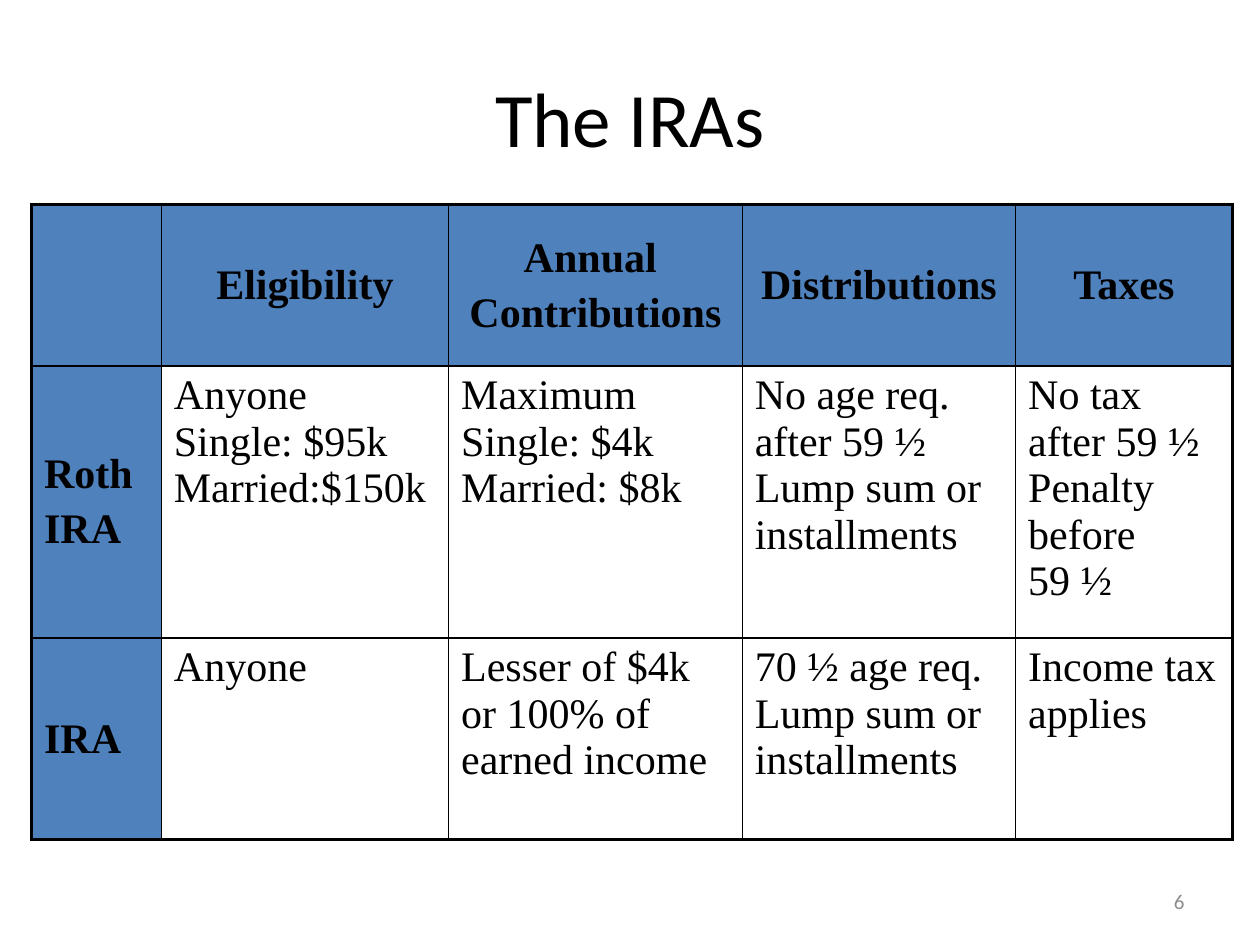
"""Build the slide that compares a Roth IRA with a traditional IRA."""
from dataclasses import dataclass

from lxml import etree
from pptx import Presentation
from pptx.dml.color import RGBColor
from pptx.enum import text
from pptx.oxml.ns import qn
from pptx.util import Pt


@dataclass(frozen=True)
class Theme:
    ink: str = "000000"
    header: str = "4F81BD"
    muted: str = "8C8C8C"
    title_font: str = "Calibri"
    table_font: str = "Times New Roman"
    title_size: float = 44
    table_size: float = 24
    number_size: float = 12
    outer_line: float = 2.25
    inner_line: float = 1


theme = Theme()


def add_text(p, content, font, size, color, bold=False):
    for i, line in enumerate(content.split("\n")):
        if i:
            p.add_line_break()
        r = p.add_run()
        r.text = line
        r.font.name = font
        r.font.size = Pt(size)
        r.font.bold = bold
        r.font.color.rgb = RGBColor.from_string(color)


def add_border(cell, side, width):
    ln = etree.SubElement(cell._tc.get_or_add_tcPr(), qn(f"a:ln{side}"), w=str(Pt(width)))
    fill = etree.SubElement(ln, qn("a:solidFill"))
    etree.SubElement(fill, qn("a:srgbClr"), val=theme.ink)


prs = Presentation()
prs.slide_width, prs.slide_height = Pt(720), Pt(540)
s = prs.slides.add_slide(prs.slide_layouts[5])

title = s.shapes.title
title.left, title.top, title.width, title.height = Pt(36), Pt(21.6), Pt(648), Pt(90)
tf = title.text_frame
tf.vertical_anchor = text.MSO_ANCHOR.MIDDLE
p = tf.paragraphs[0]
p.alignment = text.PP_ALIGN.CENTER
add_text(p, "The IRAs", theme.title_font, theme.title_size, theme.ink)

rows = [
    [[""], ["Eligibility"], ["Annual ", "Contributions"], ["Distributions"], ["Taxes"]],
    [
        ["Roth", "IRA"],
        ["Anyone\nSingle: $95k\nMarried:$150k"],
        ["Maximum\nSingle: $4k\nMarried: $8k"],
        ["No age req. after 59 ½ Lump sum or installments"],
        ["No tax after 59 ½ \nPenalty before \n59 ½"],
    ],
    [
        ["IRA"],
        ["Anyone"],
        ["Lesser of $4k\nor 100% of\nearned income"],
        ["70 ½ age req.\nLump sum or installments"],
        ["Income tax applies"],
    ],
]
widths = [74.2, 164.2, 167.8, 156.2, 123.8]
heights = [92.2, 155.5, 115.2]

frame = s.shapes.add_table(
    len(rows), len(widths), Pt(18), Pt(117), Pt(sum(widths)), Pt(sum(heights))
)
table = frame.table
table.first_row = table.horz_banding = False
for column, width in zip(table.columns, widths):
    column.width = Pt(width)
for row, height in zip(table.rows, heights):
    row.height = Pt(height)

for i, row in enumerate(rows):
    for j, paragraphs in enumerate(row):
        cell = table.cell(i, j)
        is_header = i == 0 or j == 0
        edges = {
            "L": j == 0,
            "R": j == len(widths) - 1,
            "T": i == 0,
            "B": i == len(rows) - 1,
        }
        for side, is_outer in edges.items():
            add_border(cell, side, theme.outer_line if is_outer else theme.inner_line)
        if is_header:
            cell.fill.solid()
            cell.fill.fore_color.rgb = RGBColor.from_string(theme.header)
            cell.vertical_anchor = text.MSO_ANCHOR.MIDDLE
        else:
            cell.fill.background()
            cell.vertical_anchor = text.MSO_ANCHOR.TOP
        tf = cell.text_frame
        for k, content in enumerate(paragraphs):
            p = tf.add_paragraph() if k else tf.paragraphs[0]
            p.alignment = text.PP_ALIGN.CENTER if i == 0 else text.PP_ALIGN.LEFT
            if k:
                p.space_before = Pt(0.2 * theme.table_size)
            if content:
                add_text(p, content, theme.table_font, theme.table_size, theme.ink, is_header)

number = s.shapes.add_textbox(Pt(516), Pt(500.5), Pt(168), Pt(28.75))
tf = number.text_frame
tf.word_wrap = True
tf.vertical_anchor = text.MSO_ANCHOR.MIDDLE
p = tf.paragraphs[0]
p.alignment = text.PP_ALIGN.RIGHT
add_text(p, "6", theme.title_font, theme.number_size, theme.muted)

prs.save("out.pptx")
